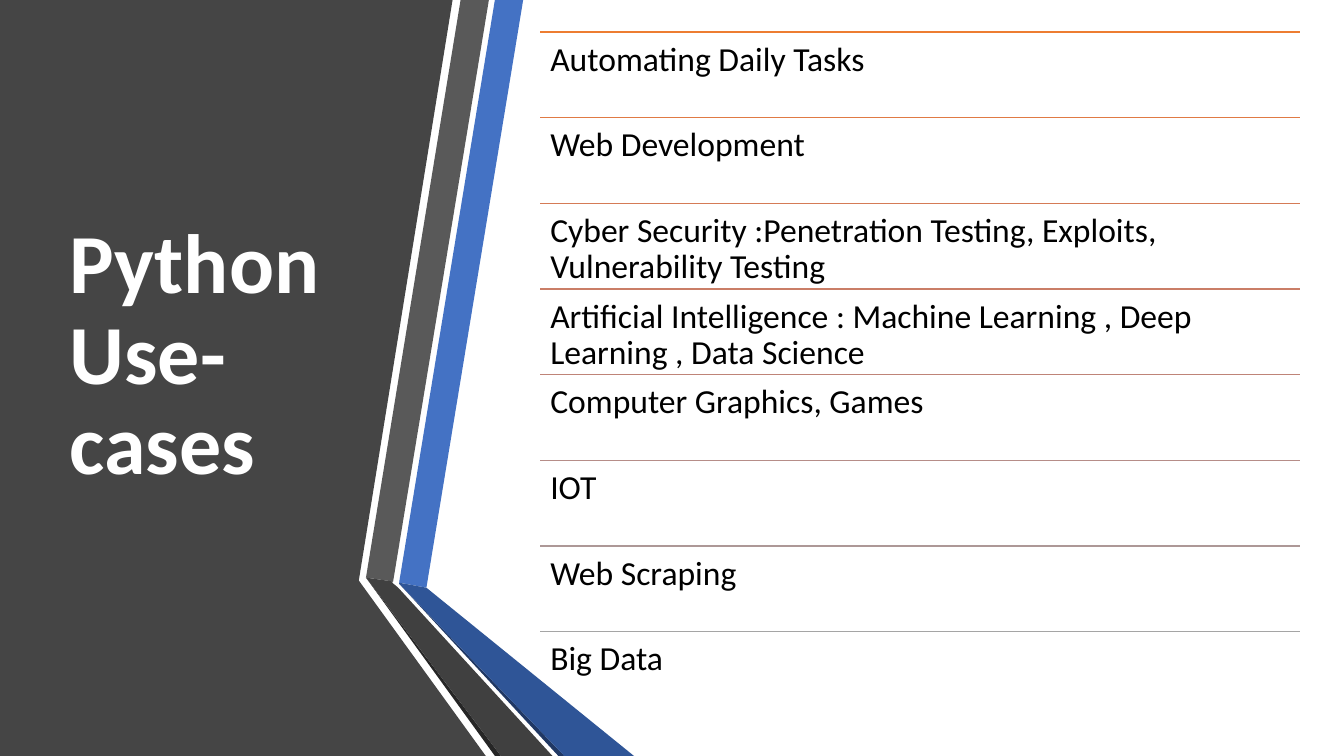
"""Build the Python use-cases slide: a folded ribbon beside a ruled list."""
import dataclasses

import lxml.etree
import pptx
import pptx.dml.color
import pptx.enum.shapes
import pptx.enum.text
import pptx.oxml.ns
import pptx.util

Pt = pptx.util.Pt


@dataclasses.dataclass(frozen=True)
class Theme:
    font: str = "Calibri"
    title_size: int = 60
    item_size: int = 24
    title: str = "FFFFFF"
    item: str = "000000"
    panel: str = "454545"
    blue: str = "4472C4"
    blue_fold: str = "2F5597"
    blue_edge: str = "203864"
    gray: str = "595959"
    gray_fold: str = "404040"
    gray_edge: str = "262626"
    rules: tuple = ("ED7D31", "E07A44", "D57B56", "CA7E67",
                    "BF8478", "B68D88", "AD9897", "A5A5A5")


theme = Theme()


def draw_outline(shapes, points, color):
    corners = [(Pt(x), Pt(y)) for x, y in points]
    builder = shapes.build_freeform(*corners[0], scale=1.0)
    builder.add_line_segments(corners[1:], close=True)
    shape = builder.convert_to_shape()
    shape.shadow.inherit = False
    shape.fill.solid()
    shape.fill.fore_color.rgb = pptx.dml.color.RGBColor.from_string(color)
    shape.line.fill.background()


def write_text(box, text, frame_format, font_format, color):
    frame = box.text_frame
    for name, value in frame_format.items():
        setattr(frame, name, value)
    para = frame.paragraphs[0]
    para.alignment = pptx.enum.text.PP_ALIGN.LEFT
    para.line_spacing = 0.9
    span = para.add_run()
    span.text = text
    for name, value in font_format.items():
        setattr(span.font, name, value)
    span.font.color.rgb = pptx.dml.color.RGBColor.from_string(color)


deck = pptx.Presentation()
deck.slide_width, deck.slide_height = Pt(960), Pt(540)
page = deck.slides.add_slide(deck.slide_layouts[5])

draw_outline(page.shapes, [(0, 0), (323.3, 0), (256.3, 414.7), (347, 540), (0, 540)],
             theme.panel)

ribbon = page.shapes.add_group_shape()
ribbon_parts = [
    (theme.blue, [(285.1, 416.2), (304.6, 419.8), (373.7, 0), (353.5, 0)]),
    (theme.gray, [(349.2, 0), (329, 0), (261.4, 412.6), (280.8, 415.4)]),
    (theme.gray_edge, [(261.4, 412.6), (353.5, 540), (357.8, 540)]),
    (theme.blue_edge, [(285.1, 416.9), (398.9, 540), (403.2, 540)]),
    (theme.blue_fold, [(285.1, 416.9), (403.2, 540), (452.9, 540),
                       (304.6, 419.8), (285.1, 416.2)]),
    (theme.gray_fold, [(394.6, 540), (284.4, 419.8), (280.1, 416.2),
                       (280.8, 415.4), (261.4, 412.6), (357.8, 540)]),
]
for color, points in ribbon_parts:
    draw_outline(ribbon.shapes, points, color)

title = page.shapes.title
title_place = {"left": Pt(42.5), "top": Pt(54), "width": Pt(218.9), "height": Pt(401.8)}
for name, value in title_place.items():
    setattr(title, name, value)
title.element.getparent().append(title.element)
write_text(title, "Python Use-cases",
           {"word_wrap": True, "auto_size": pptx.enum.text.MSO_AUTO_SIZE.NONE,
            "vertical_anchor": pptx.enum.text.MSO_ANCHOR.MIDDLE},
           {"name": theme.font, "size": Pt(theme.title_size), "bold": True}, theme.title)

use_cases = [
    "Automating Daily Tasks",
    "Web Development",
    "Cyber Security :Penetration Testing, Exploits, Vulnerability Testing",
    "Artificial Intelligence : Machine Learning , Deep Learning , Data Science",
    "Computer Graphics, Games",
    "IOT",
    "Web Scraping",
    "Big Data",
]
list_left, list_top, list_width, row_height = 386, 22.9, 542.5, 61.2
margins = {f"margin_{side}": Pt(7.2) for side in ("left", "top", "right", "bottom")}
item_frame = {"word_wrap": True, "vertical_anchor": pptx.enum.text.MSO_ANCHOR.TOP, **margins}
item_font = {"name": theme.font, "size": Pt(theme.item_size)}

for row, (use_case, color) in enumerate(zip(use_cases, theme.rules)):
    top = Pt(list_top + row * row_height)
    rule = page.shapes.add_connector(pptx.enum.shapes.MSO_CONNECTOR.STRAIGHT,
                                     Pt(list_left), top, Pt(list_left + list_width), top)
    rule.line.width = Pt(1)
    rule.line.color.rgb = pptx.dml.color.RGBColor.from_string(color)
    lxml.etree.SubElement(rule.element.spPr, pptx.oxml.ns.qn("a:effectLst"))
    box = page.shapes.add_textbox(Pt(list_left), top, Pt(list_width), Pt(row_height))
    write_text(box, use_case, item_frame, item_font, theme.item)

deck.save("out.pptx")
